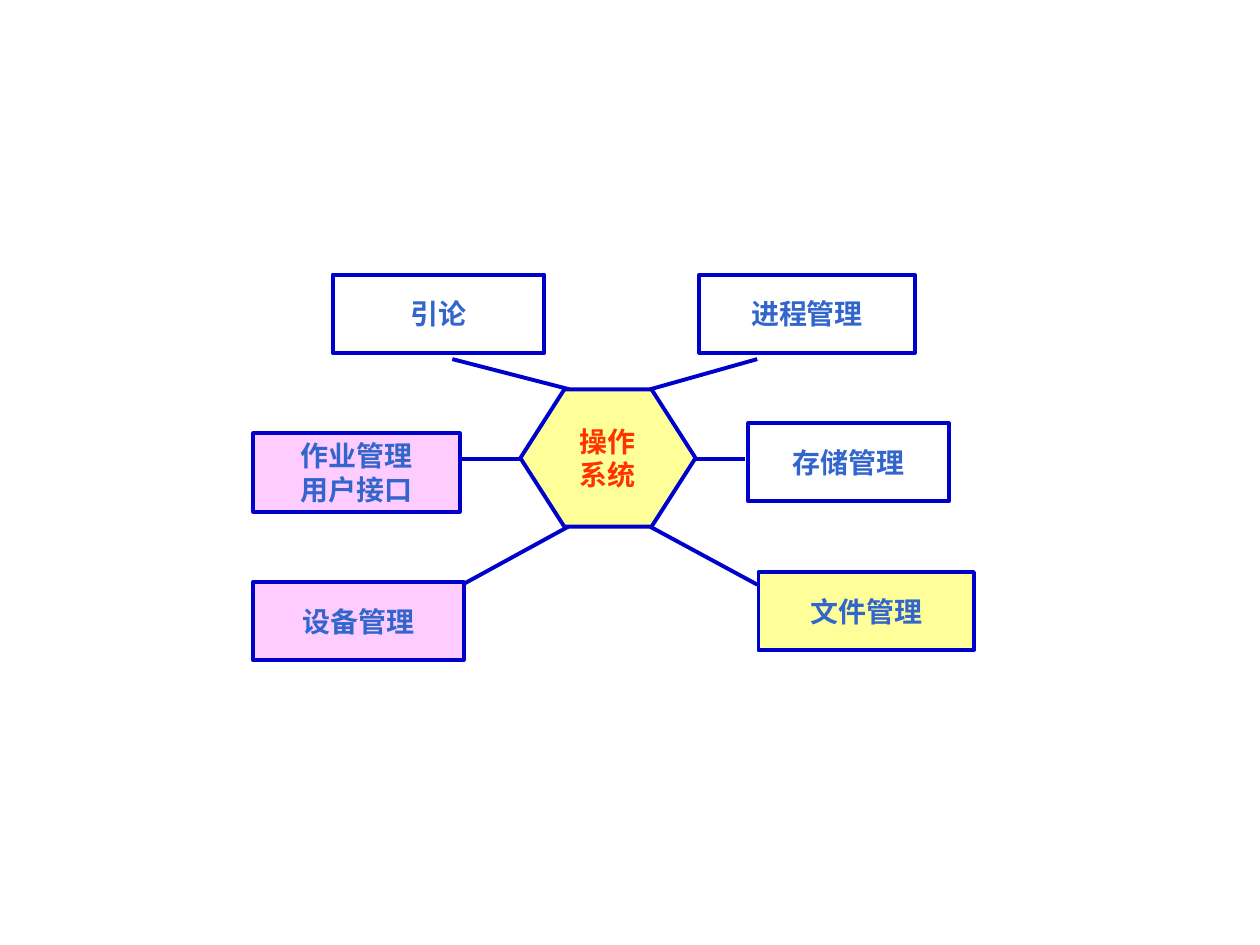
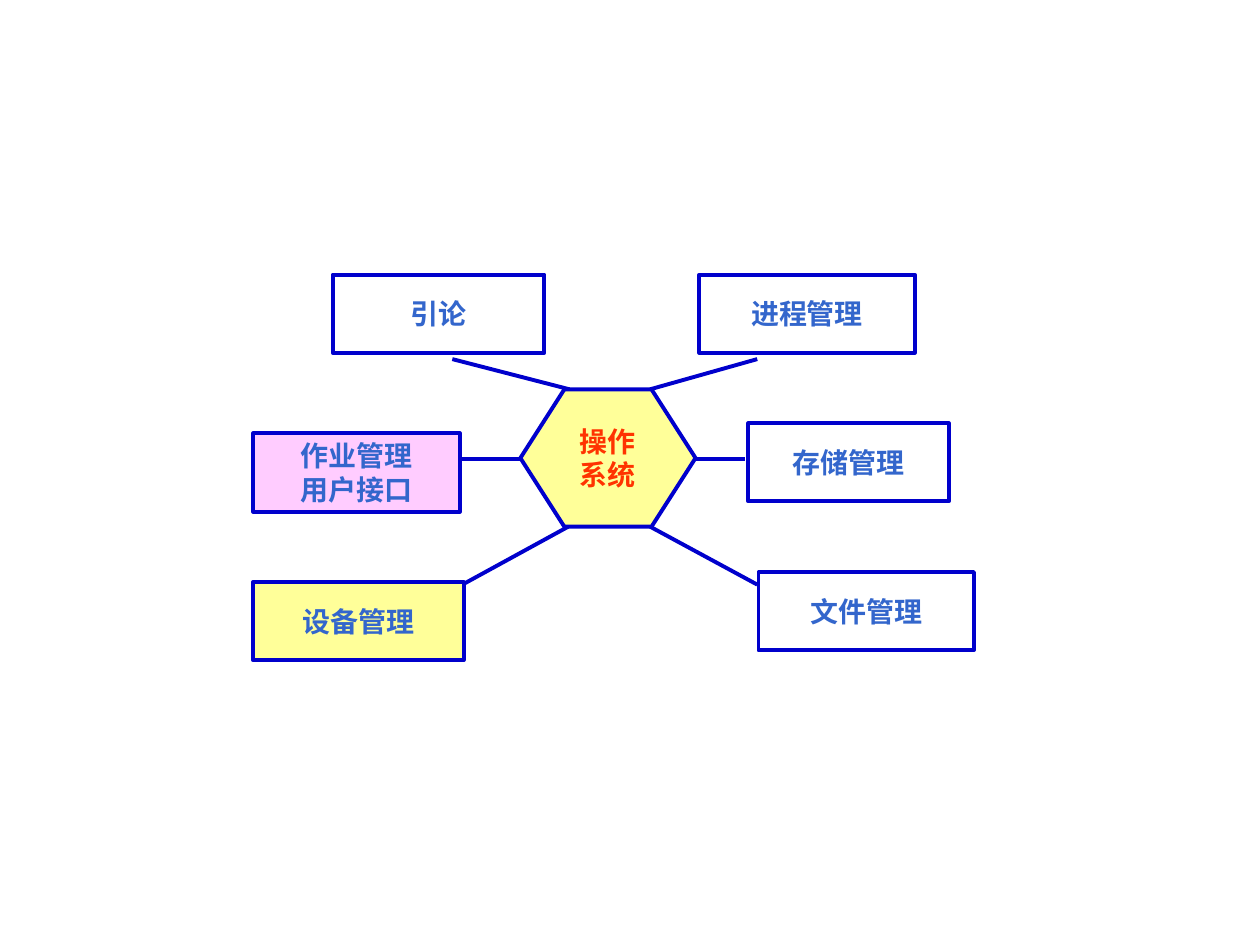
from lxml import etree
from pptx import Presentation
from pptx.dml.color import RGBColor
from pptx.enum.shapes import MSO_CONNECTOR, MSO_SHAPE
from pptx.enum.text import MSO_ANCHOR, PP_ALIGN
from pptx.oxml.ns import qn
from pptx.util import Inches, Pt

LINE, HEX, RECT = MSO_CONNECTOR.STRAIGHT, MSO_SHAPE.HEXAGON, MSO_SHAPE.RECTANGLE
MIDDLE, CENTER = MSO_ANCHOR.MIDDLE, PP_ALIGN.CENTER

INK = {"edge": "0000CC", "text": "3366CC", "core": "FF3300",
       "white": "FFFFFF", "pink": "FFCCFF", "yellow": "FFFF99"}
FONT, SIZE, STROKE = "Arial", Pt(16), Pt(2.25)
TALL = 0.62  # height of every topic box

# Topic boxes: lines of text, left, top, width
TOPICS = [
    (["引论"], 2.64, 2.18, 1.68),
    (["进程管理"], 5.55, 2.18, 1.71),
    (["设备管理"], 2.01, 4.62, 1.67),
    (["作业管理", "用户接口"], 2.01, 3.44, 1.64),
    (["存储管理"], 5.94, 3.36, 1.59),
    (["文件管理"], 6.02, 4.54, 1.71),
]

# Spokes between the topics and the hexagon: x1, y1, x2, y2
SPOKES = [
    (3.59, 2.85, 4.52, 3.09), (6.01, 2.85, 5.16, 3.09),
    (3.67, 4.64, 4.51, 4.18), (6.01, 4.64, 5.16, 4.18),
    (4.18, 3.64, 3.67, 3.64), (5.5, 3.64, 5.91, 3.64),
]

# Fill of the highlighted topics on each slide; the others are white
MARKS = [
    {"作业管理": "pink", "设备管理": "pink", "文件管理": "yellow"},
    {"作业管理": "pink", "设备管理": "yellow"},
]


def color(name):
    return RGBColor.from_string(INK[name])


def add_node(slide, kind, place, lines, fill, ink):
    node = slide.shapes.add_shape(kind, *[Inches(n) for n in place])
    node.shadow.inherit = False
    node.fill.solid()
    node.fill.fore_color.rgb = color(fill)
    node.line.color.rgb = color("edge")
    node.line.width = STROKE
    frame = node.text_frame
    frame.word_wrap = False
    frame.vertical_anchor = MIDDLE
    for i, line in enumerate(lines):
        para = frame.add_paragraph() if i else frame.paragraphs[0]
        para.alignment = CENTER
        run = para.add_run()
        run.text = line
        run.font.name = FONT
        run.font.size = SIZE
        run.font.bold = True
        run.font.color.rgb = color(ink)
    return node


deck = Presentation()
deck.slide_width, deck.slide_height = Inches(10), Inches(7.5)
blank = deck.slide_layouts[6]

for marks in MARKS:
    slide = deck.slides.add_slide(blank)
    slide.background.fill.solid()
    slide.background.fill.fore_color.rgb = color("white")

    # Spokes, behind the nodes
    for ends in SPOKES:
        spoke = slide.shapes.add_connector(LINE, *[Inches(n) for n in ends])
        spoke.line.color.rgb = color("edge")
        spoke.line.width = STROKE
        etree.SubElement(spoke.element.spPr, qn("a:effectLst"))

    # Centre hexagon
    core = add_node(slide, HEX, (4.13, 3.09, 1.39, 1.09),
                    ["操作", "系统"], "yellow", "core")
    core.adjustments[0] = 0.32

    # Topic boxes
    for lines, left, top, wide in TOPICS:
        fill = marks.get(lines[0], "white")
        add_node(slide, RECT, (left, top, wide, TALL), lines, fill, "text")

deck.save("out.pptx")
